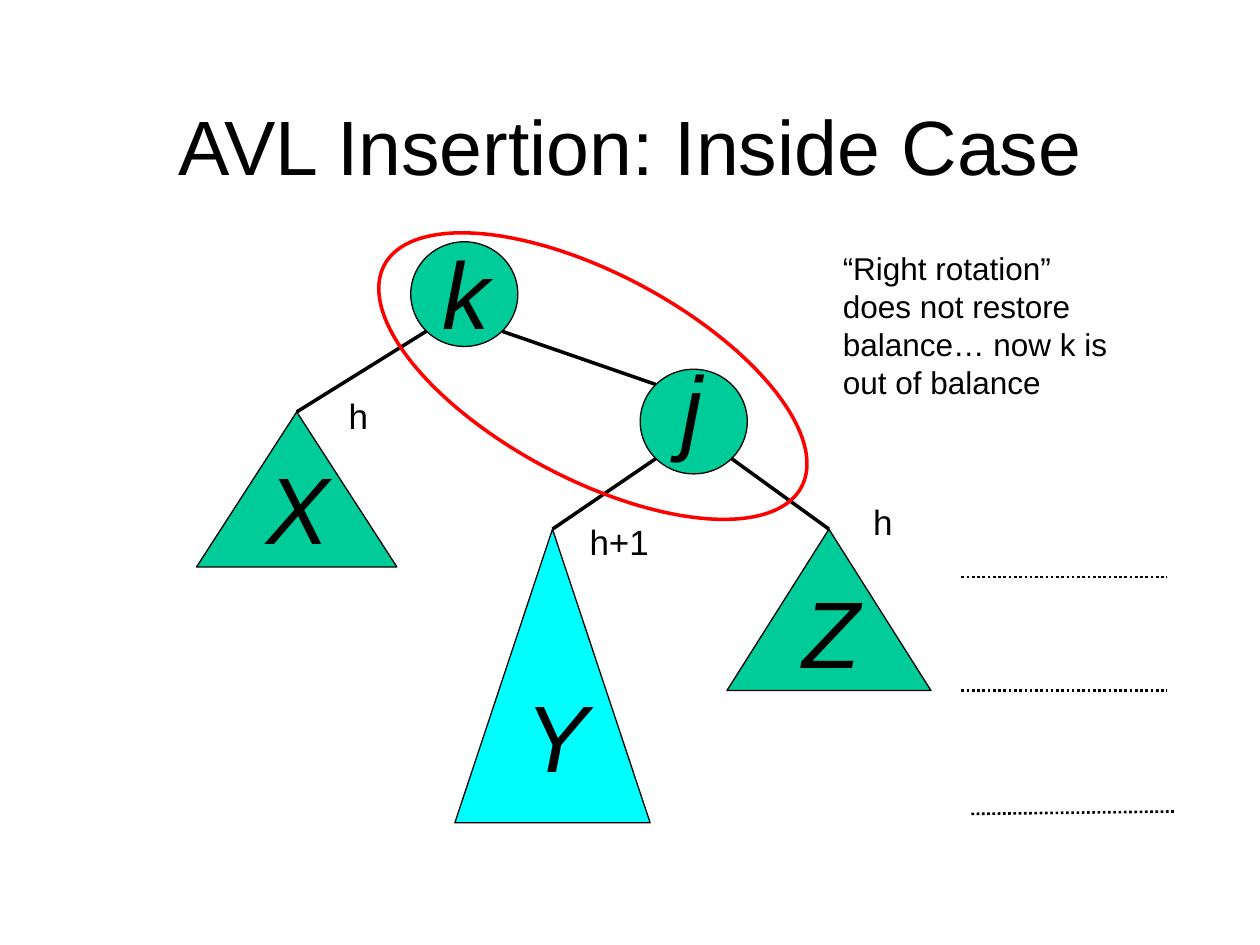
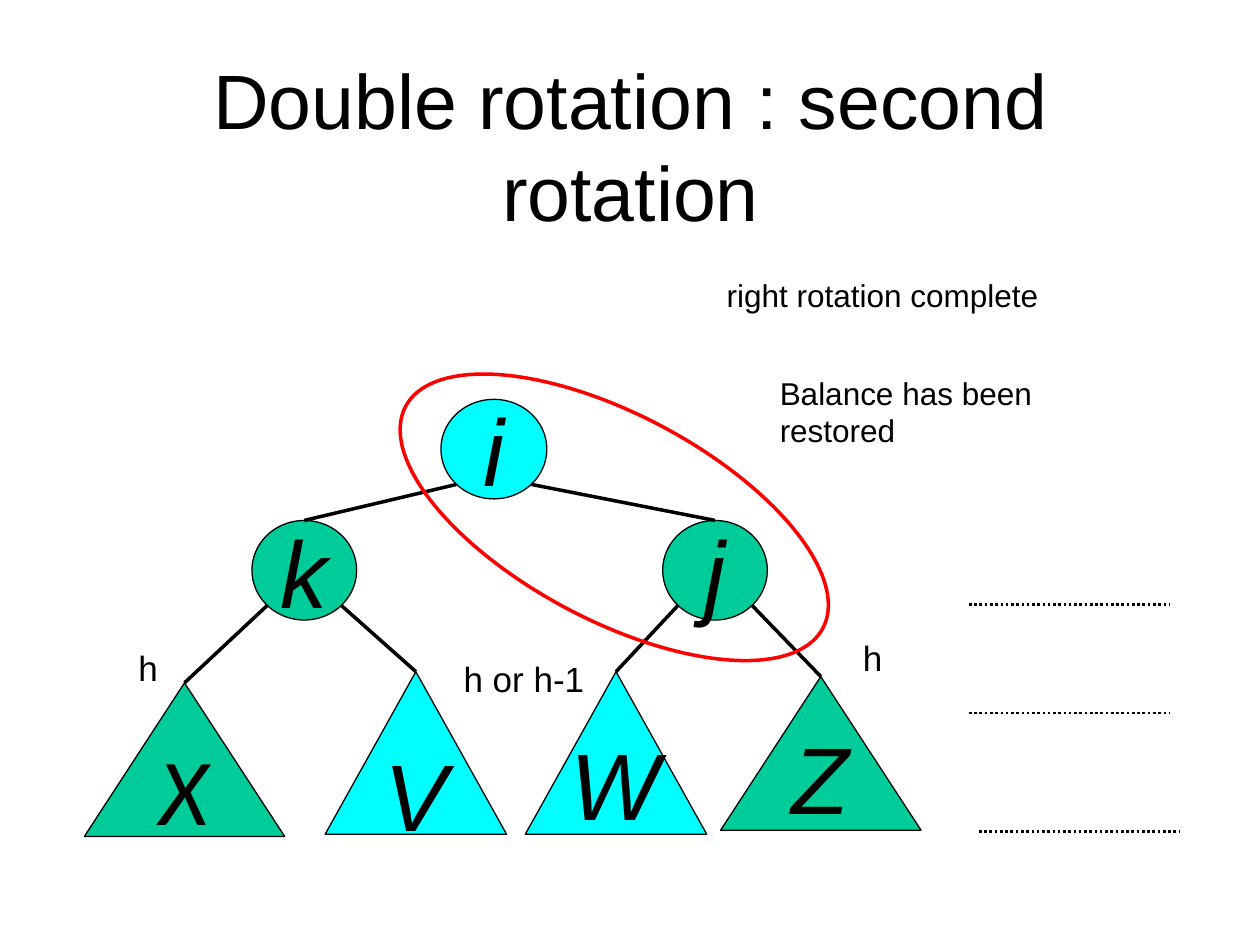
from dataclasses import dataclass
from typing import Any, NamedTuple, Optional

from lxml.etree import SubElement
from pptx import Presentation
from pptx.dml.color import RGBColor
from pptx.enum.dml import MSO_LINE as Dash
from pptx.enum.shapes import MSO_CONNECTOR as Link, MSO_SHAPE as Preset
from pptx.enum.text import MSO_ANCHOR as Anchor, MSO_AUTO_SIZE as Fit, PP_ALIGN as Align
from pptx.oxml.ns import qn
from pptx.util import Pt

BLACK = RGBColor(0x00, 0x00, 0x00)
GREEN = RGBColor(0x00, 0xCC, 0x99)
CYAN = RGBColor(0x00, 0xFF, 0xFF)
RED = RGBColor(0xFF, 0x00, 0x00)

Point = tuple[float, float]
TOP: Point = (0, -1)
LOWER_LEFT: Point = (-0.71, 0.71)
LOWER_RIGHT: Point = (0.71, 0.71)
UPPER_LEFT: Point = (-0.71, -0.71)

INSETS = {
    "margin_left": Pt(7.2),
    "margin_right": Pt(7.2),
    "margin_top": Pt(3.6),
    "margin_bottom": Pt(3.6),
}
GROWING = {**INSETS, "vertical_anchor": Anchor.TOP, "auto_size": Fit.SHAPE_TO_FIT_TEXT}
INSIDE = {**INSETS, "vertical_anchor": Anchor.MIDDLE, "word_wrap": False}
TITLE = {
    **INSETS,
    "vertical_anchor": Anchor.MIDDLE,
    "word_wrap": True,
    "auto_size": Fit.NONE,
}
TITLE_FONT = {"name": "Arial", "size": Pt(44), "bold": False}
KEY_FONT = {"name": "Arial", "size": Pt(54), "italic": True}
HEIGHT_FONT = {"name": "Arial", "size": Pt(20)}
REMARK_FONT = {"name": "Arial", "size": Pt(18)}


@dataclass(frozen=True)
class Node:
    key: str
    left: float
    top: float
    width: float
    height: float
    fill: RGBColor = GREEN
    preset: Preset = Preset.OVAL
    key_at: Optional[Point] = None
    font: str = "Arial"

    def site(self, side: Point) -> Point:
        return (
            self.left + self.width / 2 * (1 + side[0]),
            self.top + self.height / 2 * (1 + side[1]),
        )


@dataclass(frozen=True)
class Subtree(Node):
    preset: Preset = Preset.ISOSCELES_TRIANGLE


class Edge(NamedTuple):
    parent: str
    leaving: Point
    child: str
    entering: Point = TOP


class Caption(NamedTuple):
    text: str
    left: float
    top: float
    width: float
    height: float = 31.7
    font: dict[str, Any] = HEIGHT_FONT
    wrap: bool = False
    anchor: Anchor = Anchor.TOP


class Level(NamedTuple):
    left: float
    right: float
    y: float
    rise: float = 0


@dataclass(frozen=True)
class TreeSlide:
    title: str
    nodes: list[Node]
    edges: list[Edge]
    levels: list[Level]
    highlight_at: Point
    captions: list[Caption]


def apply(target: Any, values: dict[str, Any]) -> None:
    for name, value in values.items():
        setattr(target, name, value)


def write(frame: Any, text: str, layout: dict[str, Any], font: dict[str, Any],
          align: Align = Align.LEFT) -> None:
    frame.text = text
    apply(frame, layout)
    for paragraph in frame.paragraphs:
        paragraph.alignment = align
        apply(paragraph.font, font)
        paragraph.font.color.rgb = BLACK


def draw_caption(slide: Any, caption: Caption) -> None:
    box = slide.shapes.add_textbox(
        Pt(caption.left), Pt(caption.top), Pt(caption.width), Pt(caption.height))
    layout = {**GROWING, "word_wrap": caption.wrap, "vertical_anchor": caption.anchor}
    write(box.text_frame, caption.text, layout, caption.font)


def draw_node(slide: Any, node: Node) -> None:
    outline = slide.shapes.add_shape(
        node.preset, Pt(node.left), Pt(node.top), Pt(node.width), Pt(node.height))
    outline.shadow.inherit = False
    outline.fill.solid()
    outline.fill.fore_color.rgb = node.fill
    outline.line.color.rgb = BLACK
    outline.line.width = Pt(0.75)
    font = {**KEY_FONT, "name": node.font}
    if node.key_at is None:
        write(outline.text_frame, node.key, INSIDE, font, Align.CENTER)
    else:
        draw_caption(slide, Caption(node.key, *node.key_at, 37.4, 72, font, True))


def draw_line(slide: Any, start: Point, end: Point, width: float,
              dash: Optional[Dash] = None) -> None:
    line = slide.shapes.add_connector(
        Link.STRAIGHT, *(Pt(value) for value in (*start, *end)))
    line.line.color.rgb = BLACK
    line.line.width = Pt(width)
    if dash is not None:
        line.line.dash_style = dash
    SubElement(line._element.spPr, qn("a:effectLst"))


def draw_highlight(slide: Any, at: Point) -> None:
    ring = slide.shapes.add_shape(Preset.OVAL, Pt(at[0]), Pt(at[1]), Pt(270), Pt(117.4))
    ring.rotation = 28
    ring.shadow.inherit = False
    ring.fill.background()
    ring.line.color.rgb = RED
    ring.line.width = Pt(2)


def draw_title(slide: Any, text: str) -> None:
    title = slide.shapes.title
    apply(title, {"left": Pt(52.6), "top": Pt(51.1), "width": Pt(615.6), "height": Pt(63.4)})
    write(title.text_frame, text, TITLE, TITLE_FONT, Align.CENTER)


def draw_tree(deck: Any, tree: TreeSlide) -> None:
    slide = deck.slides.add_slide(deck.slide_layouts[5])
    draw_title(slide, tree.title)
    by_key = {node.key: node for node in tree.nodes}
    for node in tree.nodes:
        draw_node(slide, node)
    for edge in tree.edges:
        draw_line(slide, by_key[edge.parent].site(edge.leaving),
                  by_key[edge.child].site(edge.entering), 2)
    for level in tree.levels:
        draw_line(slide, (level.left, level.y), (level.right, level.y - level.rise),
                  1.5, Dash.ROUND_DOT)
    draw_highlight(slide, tree.highlight_at)
    for caption in tree.captions:
        draw_caption(slide, caption)


INSIDE_CASE = TreeSlide(
    title="AVL Insertion: Inside Case",
    nodes=[
        Node("j", 365.8, 211, 61.2, 59.8, key_at=(382.3, 195.8)),
        Node("k", 234.7, 138.2, 61.2, 59.8, key_at=(245.5, 131)),
        Subtree("X", 112.3, 235.4, 114.5, 88.6, key_at=(145.4, 253.4)),
        Subtree("Y", 259.9, 302.4, 111.6, 167.8, CYAN, key_at=(293, 383.8)),
        Subtree("Z", 415.4, 302.4, 116.6, 92.2, key_at=(451.4, 324.7)),
    ],
    edges=[
        Edge("k", LOWER_LEFT, "X"),
        Edge("k", LOWER_RIGHT, "j", UPPER_LEFT),
        Edge("j", LOWER_LEFT, "Y"),
        Edge("j", LOWER_RIGHT, "Z"),
    ],
    levels=[
        Level(549.4, 666.7, 329.8),
        Level(549.4, 666.7, 394.6),
        Level(555.1, 671.8, 465.1, rise=1.4),
    ],
    highlight_at=(203.8, 156.2),
    captions=[
        Caption("“Right rotation”\ndoes not restore\nbalance… now k is\nout of balance",
                474.5, 139, 167, 95, REMARK_FONT),
        Caption("h", 491.8, 282.2, 25.9, wrap=True),
        Caption("h+1", 329.8, 293.8, 48.2),
        Caption("h", 192.2, 221.8, 25.2),
    ],
)

SECOND_ROTATION = TreeSlide(
    title="Double rotation : second rotation",
    nodes=[
        Node("j", 378.7, 297.4, 59.8, 56.9),
        Node("k", 144, 297.4, 59.8, 56.9),
        Node("i", 252, 228.2, 60.5, 56.9, CYAN),
        Subtree("X", 48.2, 390.2, 114.5, 87.8, key_at=(84.2, 414), font="Calibri"),
        Subtree("V", 185.8, 383.8, 103.7, 92.9, CYAN),
        Subtree("W", 300.2, 383.8, 103.7, 92.9, CYAN, key_at=(319, 411.1)),
        Subtree("Z", 411.8, 386.6, 114.5, 87.8, key_at=(445, 408.2)),
    ],
    edges=[
        Edge("i", LOWER_LEFT, "k"),
        Edge("i", LOWER_RIGHT, "j"),
        Edge("k", LOWER_LEFT, "X"),
        Edge("k", LOWER_RIGHT, "V"),
        Edge("j", LOWER_LEFT, "W"),
        Edge("j", LOWER_RIGHT, "Z"),
    ],
    levels=[
        Level(553.7, 668.2, 345.6),
        Level(553.7, 668.2, 407.5),
        Level(559.4, 673.9, 475.2),
    ],
    highlight_at=(216, 236.9),
    captions=[
        Caption("right rotation complete", 408.2, 154.1, 194.4, 29.5, REMARK_FONT),
        Caption("Balance has been\nrestored", 438.5, 209.5, 164.9, 51.1, REMARK_FONT,
                anchor=Anchor.MIDDLE),
        Caption("h", 486, 360, 25.9, wrap=True),
        Caption("h", 72, 365.8, 25.2),
        Caption("h or h-1", 257.8, 372.2, 83.5),
    ],
)


def main() -> None:
    deck = Presentation()
    deck.slide_width, deck.slide_height = Pt(720), Pt(540)
    for tree in (INSIDE_CASE, SECOND_ROTATION):
        draw_tree(deck, tree)
    deck.save("out.pptx")


if __name__ == "__main__":
    main()
